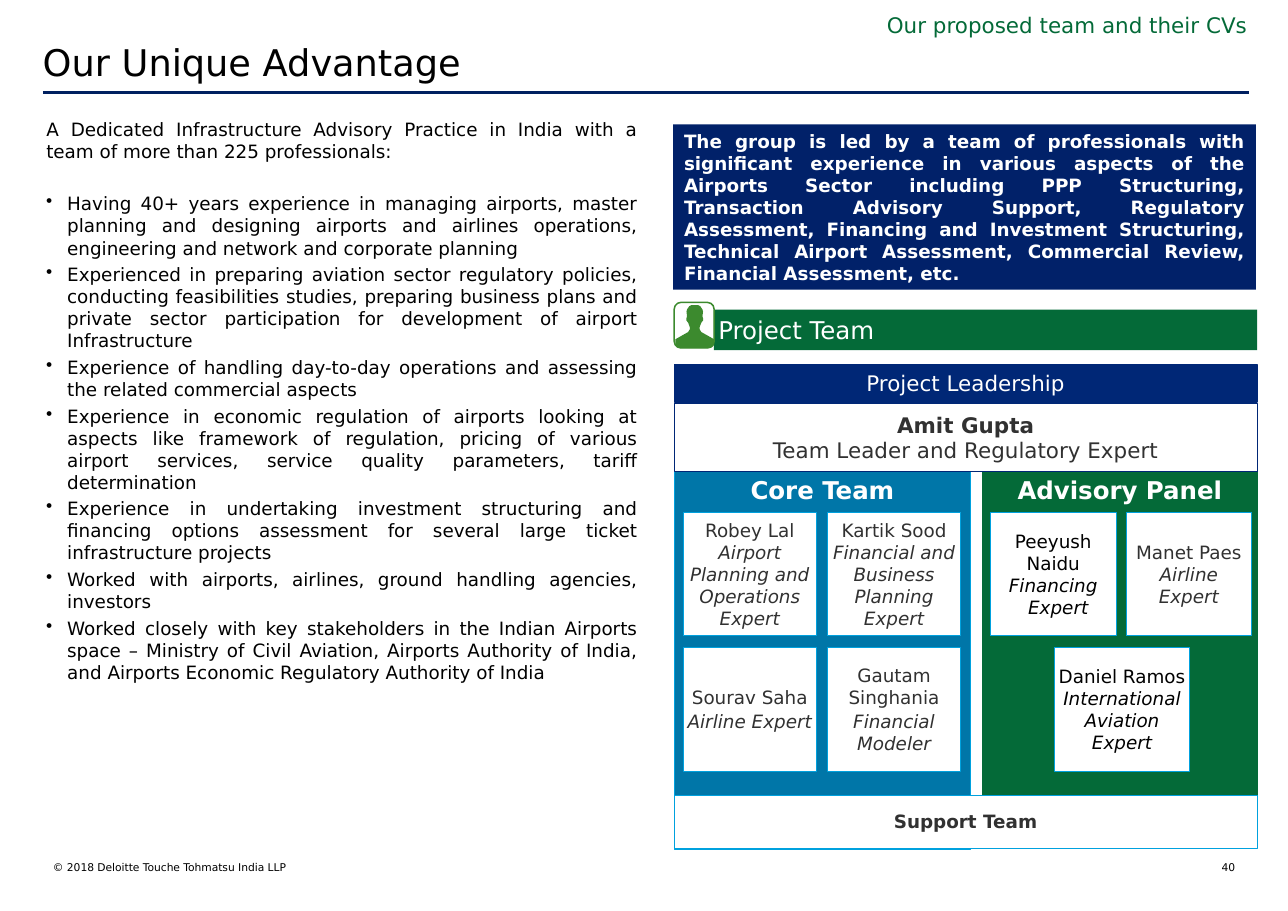
"""Build the team advantage slide."""
from dataclasses import dataclass

from lxml import etree
from pptx import Presentation
from pptx.dml.color import RGBColor
from pptx.enum.shapes import MSO_CONNECTOR, MSO_SHAPE
from pptx.enum.text import MSO_ANCHOR, PP_ALIGN
from pptx.oxml.ns import qn
from pptx.util import Inches, Pt

LEFT, CENTER, RIGHT, JUSTIFY = PP_ALIGN.LEFT, PP_ALIGN.CENTER, PP_ALIGN.RIGHT, PP_ALIGN.JUSTIFY
TOP, MIDDLE = MSO_ANCHOR.TOP, MSO_ANCHOR.MIDDLE
RECTANGLE, ROUNDED = MSO_SHAPE.RECTANGLE, MSO_SHAPE.ROUNDED_RECTANGLE
STRAIGHT = MSO_CONNECTOR.STRAIGHT


@dataclass(frozen=True)
class Theme:
    """Colours, font and type sizes."""
    font: str = "DejaVu Sans"
    black: str = "000000"
    white: str = "FFFFFF"
    gray: str = "313131"
    green: str = "046A38"
    icon: str = "3C8A2E"
    navy: str = "012169"
    band: str = "002776"
    rule: str = "002060"
    blue: str = "0076A8"
    sky: str = "00A1DE"
    title: int = 24
    heading: int = 16
    label: int = 14
    body: int = 12
    small: int = 7


THEME = Theme()
GRID = 100
TIGHT = (0.04,) * 4
ROOMY = (0.1, 0.05, 0.1, 0.05)
FLUSH = (0,) * 4

INTRO = ("A Dedicated Infrastructure Advisory Practice in India with a team of "
         "more than 225 professionals:")
ADVANTAGES = [
    "Having 40+ years experience in managing airports, master planning and designing "
    "airports and airlines operations, engineering and network and corporate planning",
    "Experienced in preparing aviation sector regulatory policies, conducting feasibilities "
    "studies, preparing business plans and private sector participation for development of "
    "airport Infrastructure",
    "Experience of handling day-to-day operations and assessing the related commercial aspects",
    "Experience in economic regulation of airports looking at aspects like framework of "
    "regulation, pricing of various airport services, service quality parameters, tariff "
    "determination",
    "Experience in undertaking investment structuring and financing options assessment for "
    "several large ticket infrastructure projects",
    "Worked with airports, airlines, ground handling agencies, investors",
    "Worked closely with key stakeholders in the Indian Airports space – Ministry of Civil "
    "Aviation, Airports Authority of India, and Airports Economic Regulatory Authority of India",
]
STATEMENT = (
    "The group is led by a team of professionals with significant experience in various aspects "
    "of the Airports Sector including PPP Structuring, Transaction Advisory Support, Regulatory "
    "Assessment, Financing and Investment Structuring, Technical Airport Assessment, Commercial "
    "Review, Financial Assessment, etc.")
CORE_TEAM = [
    [("Robey Lal", "Airport Planning and Operations Expert", 0),
     ("Kartik Sood", "Financial and Business Planning Expert", 0)],
    [("Sourav Saha", "Airline Expert", 1.2),
     ("Gautam Singhania", "Financial Modeler", 1.2)],
]
ADVISERS = [
    ("Peeyush Naidu", "Financing Expert", 76.9, 0, 9.75, THEME.black,
     {"margin": 0.09, "hanging": 0.09, "after": 2.7}),
    ("Manet Paes", "Airline Expert", 87.43, 0, 9.75, THEME.gray, {}),
    ("Daniel Ramos", "International Aviation Expert", 81.86, 1, 10.52, THEME.black, {}),
]
HALF_PERSON = [(0, 0), (3, 0), (5, 1), (7, 4), (7.5, 6), (7, 10), (7.5, 12), (7.5, 14),
               (6, 16), (5, 18.5), (4.5, 20), (4.5, 22), (6, 24.5), (10.5, 27),
               (17.5, 31), (17.5, 36), (16, 38), (13, 39), (0, 39)]


def add_text(box, text, size=THEME.body, color=THEME.black, bold=False, italic=False,
             align=LEFT, before=0, after=0, spacing=1.0, margin=0, hanging=0, bullet=None):
    """Append one formatted paragraph to a box."""
    frame = box.text_frame
    first = frame.paragraphs[0]
    para = frame.add_paragraph() if first.runs else first
    para.alignment, para.line_spacing = align, spacing
    para.space_before, para.space_after = Pt(before), Pt(after)
    properties = para._p.get_or_add_pPr()
    properties.set("marL", str(Inches(margin)))
    properties.set("indent", str(-Inches(hanging)))
    if bullet:
        etree.SubElement(properties, qn("a:buChar")).set("char", bullet)
    span = para.add_run()
    span.text = text
    span.font.name, span.font.size = THEME.font, Pt(size)
    span.font.bold, span.font.italic = bold, italic
    span.font.color.rgb = RGBColor.from_string(color)


class Page:
    """A slide drawn on a grid of 100 columns and 100 rows."""

    def __init__(self, deck, theme):
        """Add a blank slide to the deck."""
        self.theme = theme
        self.column, self.row = deck.slide_width / GRID, deck.slide_height / GRID
        self.shapes = deck.slides.add_slide(deck.slide_layouts[6]).shapes

    def place(self, left, top, width, height):
        """Turn grid lengths into slide lengths."""
        return (round(left * self.column), round(top * self.row),
                round(width * self.column), round(height * self.row))

    def set_frame(self, box, insets, anchor):
        """Set wrapping, insets and anchor of a box."""
        frame = box.text_frame
        frame.word_wrap, frame.vertical_anchor = True, anchor
        (frame.margin_left, frame.margin_top,
         frame.margin_right, frame.margin_bottom) = map(Inches, insets)
        return box

    def paint(self, shape, fill, line, weight):
        """Set fill and outline and drop the shadow."""
        shape.shadow.inherit = False
        for part, color in ((shape.fill, fill), (shape.line.fill, line)):
            if color:
                part.solid()
                part.fore_color.rgb = RGBColor.from_string(color)
            else:
                part.background()
        if line:
            shape.line.width = Pt(weight)

    def text_box(self, *area, insets=ROOMY):
        """Add a plain text box."""
        return self.set_frame(self.shapes.add_textbox(*self.place(*area)), insets, TOP)

    def panel(self, *area, fill=None, line=None, weight=0.5, kind=RECTANGLE,
              insets=TIGHT, anchor=MIDDLE):
        """Add a filled or outlined panel."""
        shape = self.shapes.add_shape(kind, *self.place(*area))
        self.paint(shape, fill, line, weight)
        return self.set_frame(shape, insets, anchor)

    def rule(self, left, right, top, color, weight):
        """Add a horizontal rule."""
        start, level, length, _ = self.place(left, top, right - left, 0)
        line = self.shapes.add_connector(STRAIGHT, start, level, start + length, level)
        line.line.color.rgb = RGBColor.from_string(color)
        line.line.width = Pt(weight)
        etree.SubElement(line._element.spPr, qn("a:effectLst"))

    def person(self, center, top):
        """Add a symmetrical head-and-shoulders outline."""
        outline = HALF_PERSON + [(-across, down) for across, down in HALF_PERSON[-2:0:-1]]
        left, level, _, _ = self.place(center, top, 0, 0)
        points = [(left + Inches(across / 100), level + Inches(down / 100))
                  for across, down in outline]
        builder = self.shapes.build_freeform(*points[0])
        builder.add_line_segments(points[1:], close=True)
        self.paint(builder.convert_to_shape(), self.theme.icon, None, 0)

    def member(self, name, role, left, level, width, color=THEME.gray, **role_format):
        """Add a team member card on one of the two card levels."""
        card = self.panel(left, 56.23 + level * 14.87, width, 13.54,
                          fill=self.theme.white, line=self.theme.sky)
        add_text(card, name, color=color, align=CENTER)
        add_text(card, role, color=color, italic=True, align=CENTER, **role_format)


def main():
    """Build and save the deck."""
    deck = Presentation()
    deck.slide_width, deck.slide_height = Inches(11.69), Inches(8.27)
    page = Page(deck, THEME)

    add_text(page.text_box(21.47, 0.73, 76.22, 4.11), "Our proposed team and their CVs",
             size=THEME.label, color=THEME.green, align=RIGHT)
    add_text(page.text_box(2.48, 4.35, 94.53, 5.68), "Our Unique Advantage",
             size=THEME.title, spacing=0.9)
    page.rule(3.34, 97.01, 10.16, THEME.rule, 2.25)

    body = page.text_box(2.57, 12.95, 46.96, 63.84, insets=FLUSH)
    add_text(body, INTRO, align=JUSTIFY, margin=0.12, after=20)
    for advantage in ADVANTAGES:
        add_text(body, advantage, align=JUSTIFY, margin=0.31, hanging=0.19, after=3, bullet="•")

    statement = page.panel(52.27, 13.66, 45.25, 18.14, fill=THEME.navy, insets=ROOMY, anchor=TOP)
    add_text(statement, STATEMENT, color=THEME.white, bold=True, align=JUSTIFY)

    banner = page.panel(55.43, 33.98, 42.17, 4.47, fill=THEME.green)
    add_text(banner, "Project Team", size=THEME.heading, color=THEME.white)
    page.person(53.94, 33.49)
    page.panel(52.35, 33.2, 3.1, 5, line=THEME.icon, weight=1, kind=ROUNDED)

    for heading, left, width, height, fill, line in (
            ("Advisory Panel", 76.3, 21.3, 41.23, THEME.green, THEME.green),
            ("Core Team", 52.35, 23.01, 41.6, THEME.blue, THEME.sky)):
        panel = page.panel(left, 51.63, width, height, fill=fill, line=line, anchor=TOP)
        add_text(panel, heading, size=THEME.heading, color=THEME.white, bold=True, align=CENTER)

    leader = page.panel(52.35, 44.26, 45.25, 7.5, fill=THEME.white, line=THEME.band)
    add_text(leader, "Amit Gupta", size=THEME.label, color=THEME.gray, bold=True, align=CENTER)
    add_text(leader, "Team Leader and Regulatory Expert", size=THEME.label, color=THEME.gray,
             align=CENTER)
    leadership = page.panel(52.35, 40.02, 45.25, 4.11, fill=THEME.band, line=THEME.band,
                            weight=0.75)
    add_text(leadership, "Project Leadership", size=THEME.label, color=THEME.white, align=CENTER)
    support = page.panel(52.35, 87.3, 45.25, 5.8, fill=THEME.white, line=THEME.sky)
    add_text(support, "Support Team", color=THEME.gray, bold=True, align=CENTER)

    for level, members in enumerate(CORE_TEAM):
        for position, (name, role, gap) in enumerate(members):
            page.member(name, role, 53.04 + position * 11.2, level, 10.35, before=gap)
    for *adviser, role_format in ADVISERS:
        page.member(*adviser, **role_format)

    add_text(page.text_box(4.11, 94.44, 43.88, 2.9, insets=FLUSH),
             "© 2018 Deloitte Touche Tohmatsu India LLP", size=THEME.small)
    add_text(page.text_box(93.33, 94.44, 2.57, 1.45, insets=FLUSH), "40",
             size=THEME.small, align=RIGHT)
    deck.save("out.pptx")


if __name__ == "__main__":
    main()
